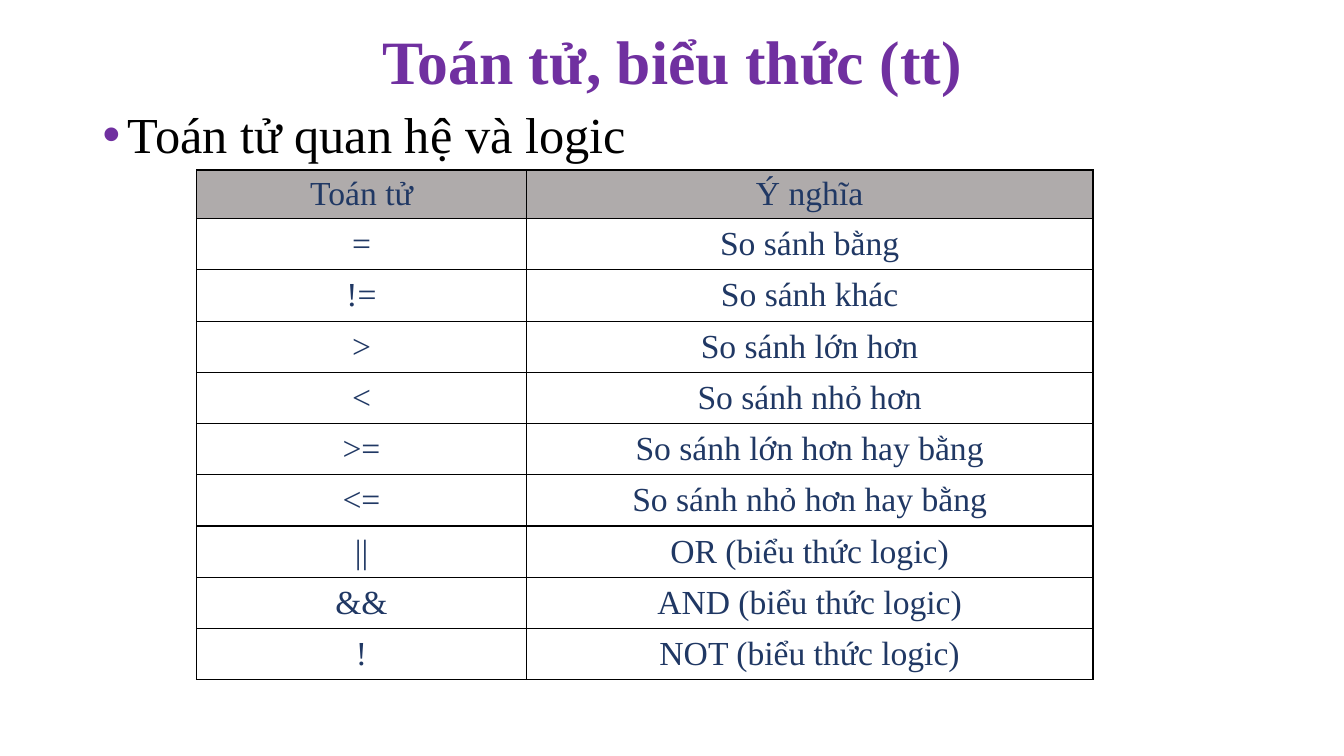
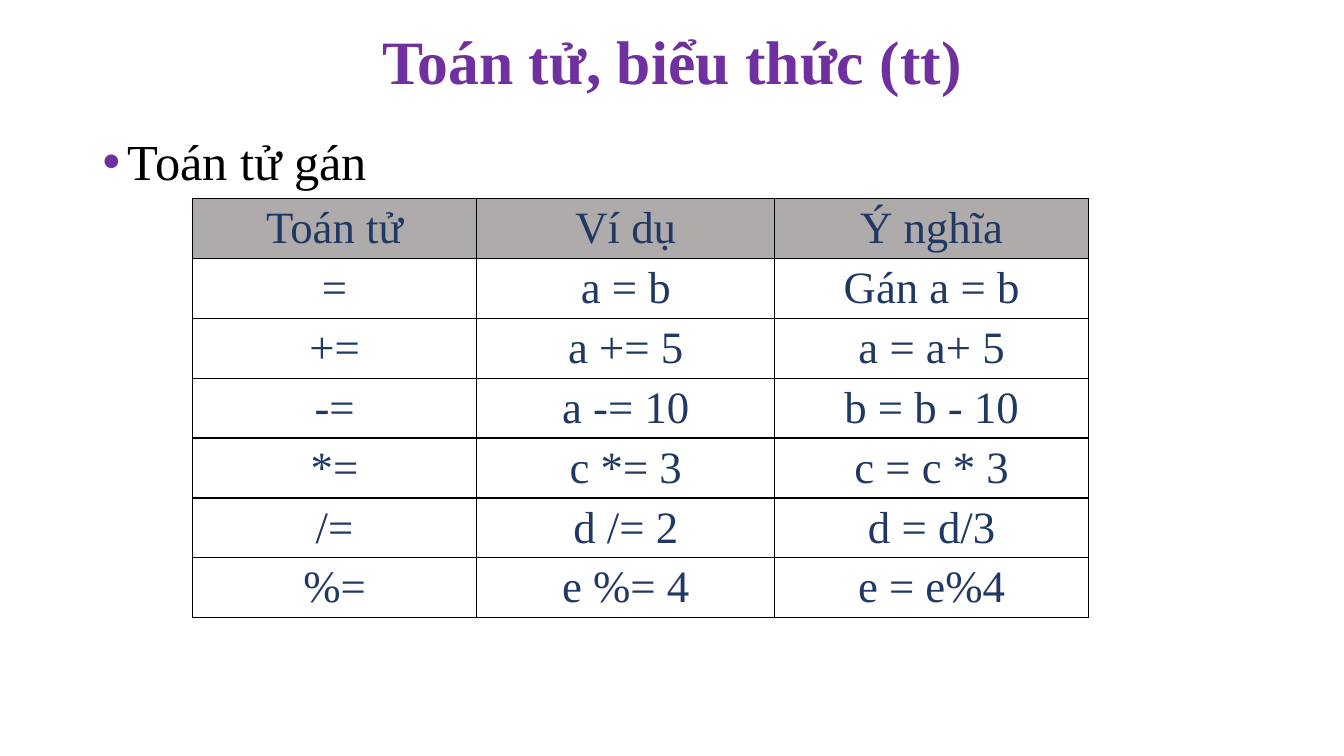
from lxml import etree
from pptx import Presentation
from pptx.dml.color import RGBColor
from pptx.enum.text import MSO_ANCHOR, MSO_AUTO_SIZE, PP_ALIGN
from pptx.oxml.ns import qn
from pptx.util import Pt

CENTER, LEFT = PP_ALIGN.CENTER, PP_ALIGN.LEFT
MIDDLE, TOP = MSO_ANCHOR.MIDDLE, MSO_ANCHOR.TOP
NO_AUTOFIT = MSO_AUTO_SIZE.NONE

FONT = "Times New Roman"
PURPLE = RGBColor(0x70, 0x30, 0xA0)
NAVY = RGBColor(0x20, 0x38, 0x64)
GRAY = RGBColor(0xAF, 0xAB, 0xAB)
BLACK = RGBColor(0, 0, 0)
WHITE = RGBColor(0xFF, 0xFF, 0xFF)

TITLE = "Toán tử, biểu thức (tt)"
SLIDES = [
    {
        "topic": "Toán tử quan hệ và logic",
        "topic_top": 74.9,
        "table_at": (140.5, 121.5),
        "columns": (235.4, 404.8),
        "header_height": 34.7,
        "row_height": 36.6,
        "size": 24,
        "rows": [
            ("Toán tử", "Ý nghĩa"),
            ("=", "So sánh bằng"),
            ("!=", "So sánh khác"),
            (">", "So sánh lớn hơn"),
            ("<", "So sánh nhỏ hơn"),
            (">=", "So sánh lớn hơn hay bằng"),
            ("<=", "So sánh nhỏ hơn hay bằng"),
            ("||", "OR (biểu thức logic)"),
            ("&&", "AND (biểu thức logic)"),
            ("!", "NOT (biểu thức logic)"),
        ],
    },
    {
        "topic": "Toán tử gán",
        "topic_top": 94.3,
        "table_at": (137.5, 141.8),
        "columns": (203, 213, 224),
        "header_height": 42.8,
        "row_height": 42.8,
        "size": 32,
        "rows": [
            ("Toán tử", "Ví dụ", "Ý nghĩa"),
            ("=", "a = b", "Gán a = b"),
            ("+=", "a += 5", "a = a+ 5"),
            ("-=", "a -= 10", "b = b - 10"),
            ("*=", "c *= 3", "c = c * 3"),
            ("/=", "d /= 2", "d = d/3"),
            ("%=", "e %= 4", "e = e%4"),
        ],
    },
]


def style_font(paragraph, size, color, bold=False):
    font = paragraph.font
    font.name, font.size, font.bold = FONT, Pt(size), bold
    font.color.rgb = color


def add_bullet(paragraph, color):
    properties = paragraph._p.get_or_add_pPr()
    properties.set("marL", str(Pt(18)))
    properties.set("indent", str(Pt(-18)))
    bullet_color = etree.SubElement(properties, qn("a:buClr"))
    etree.SubElement(bullet_color, qn("a:srgbClr"), val=str(color))
    etree.SubElement(properties, qn("a:buFont"), typeface="Arial")
    etree.SubElement(properties, qn("a:buChar"), char="•")


def fill_placeholder(shape, text, top, height, anchor, align):
    shape.left, shape.top = Pt(66.2), Pt(top)
    shape.width, shape.height = Pt(828), Pt(height)
    frame = shape.text_frame
    frame.text = text
    frame.auto_size = NO_AUTOFIT
    frame.vertical_anchor = anchor
    paragraph = frame.paragraphs[0]
    paragraph.alignment = align
    paragraph.line_spacing = 0.9
    return paragraph


def add_borders(cell, color):
    properties = cell._tc.get_or_add_tcPr()
    for index, side in enumerate(("lnL", "lnR", "lnT", "lnB")):
        line = etree.Element(qn(f"a:{side}"), w=str(Pt(1)))
        fill = etree.SubElement(line, qn("a:solidFill"))
        etree.SubElement(fill, qn("a:srgbClr"), val=str(color))
        properties.insert(index, line)


def format_cell(cell, text, size, fill):
    cell.text = text
    cell.vertical_anchor = MIDDLE
    cell.margin_top = cell.margin_bottom = Pt(3)
    cell.fill.solid()
    cell.fill.fore_color.rgb = fill
    add_borders(cell, BLACK)
    paragraph = cell.text_frame.paragraphs[0]
    paragraph.alignment = CENTER
    style_font(paragraph, size, NAVY)


def add_operator_table(slide, content):
    rows, columns = content["rows"], content["columns"]
    heights = [content["header_height"]] + [content["row_height"]] * (len(rows) - 1)
    left, top = content["table_at"]
    table = slide.shapes.add_table(
        len(rows), len(columns), Pt(left), Pt(top), Pt(sum(columns)), Pt(sum(heights))
    ).table
    table.first_row = table.horz_banding = False
    for column, width in zip(table.columns, columns):
        column.width = Pt(width)
    for row_index, (row, height) in enumerate(zip(rows, heights)):
        table.rows[row_index].height = Pt(height)
        fill = WHITE if row_index else GRAY
        for column_index, text in enumerate(row):
            format_cell(table.cell(row_index, column_index), text, content["size"], fill)


def add_slide(presentation, content):
    slide = presentation.slides.add_slide(presentation.slide_layouts[1])
    title = fill_placeholder(slide.shapes.title, TITLE, 17.3, 57.6, MIDDLE, CENTER)
    style_font(title, 44, PURPLE, bold=True)
    topic = fill_placeholder(
        slide.placeholders[1], content["topic"], content["topic_top"], 392.4, TOP, LEFT
    )
    topic.space_before = Pt(10)
    add_bullet(topic, PURPLE)
    style_font(topic, 36, BLACK)
    add_operator_table(slide, content)


def main():
    presentation = Presentation()
    presentation.slide_width, presentation.slide_height = Pt(960), Pt(540)
    for content in SLIDES:
        add_slide(presentation, content)
    presentation.save("out.pptx")


if __name__ == "__main__":
    main()
